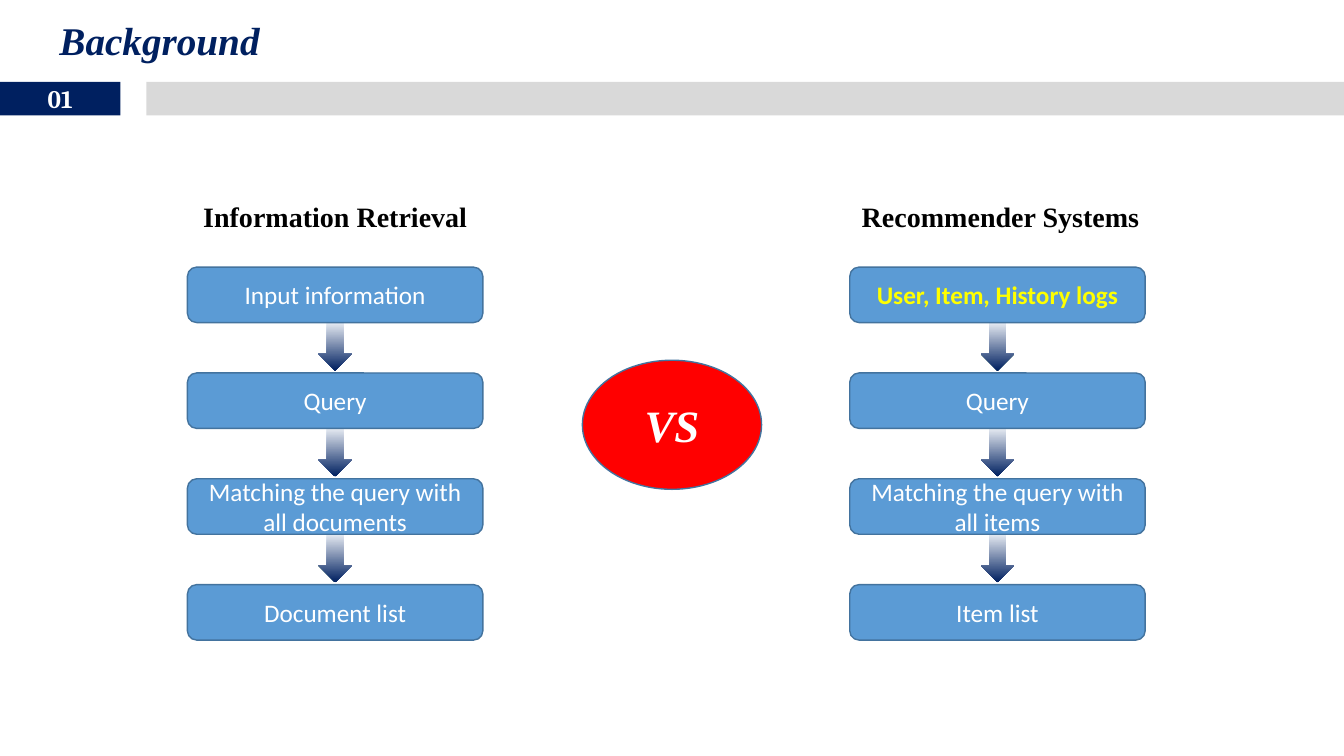
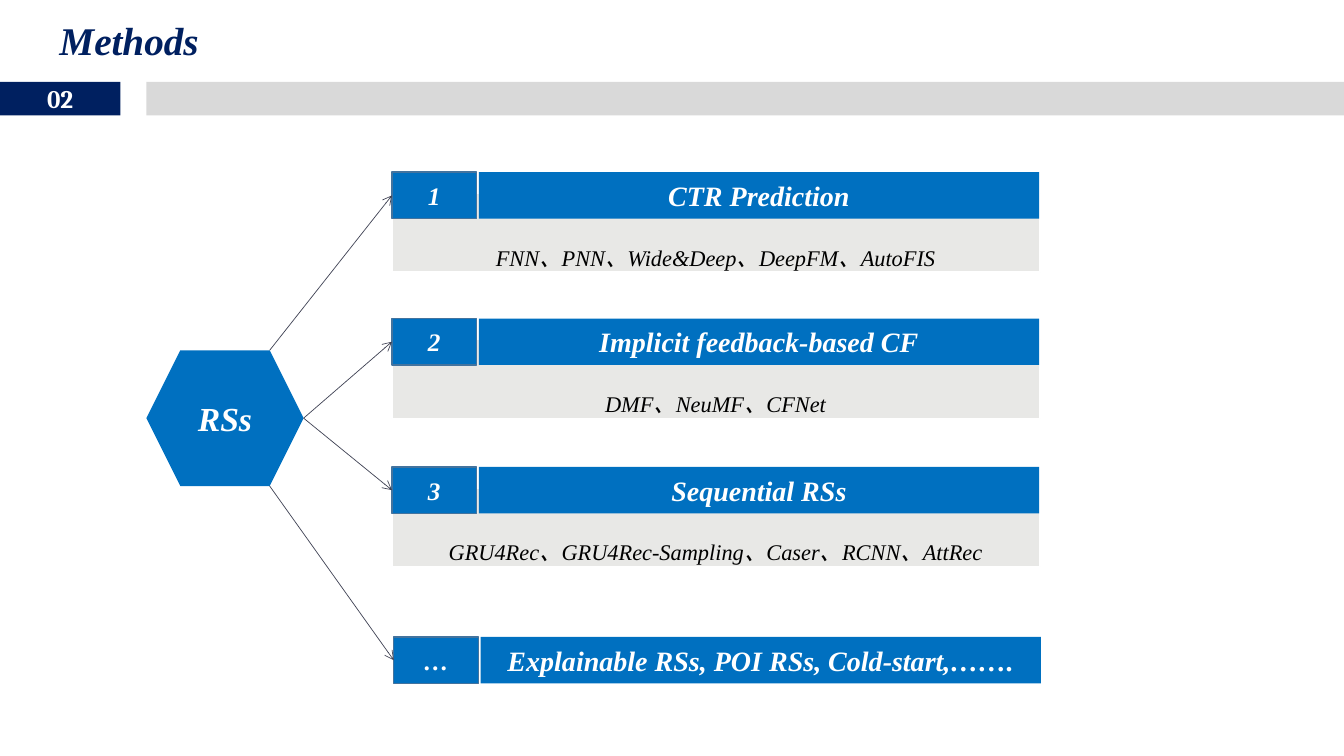
from lxml import etree
from pptx import Presentation
from pptx.dml import color
from pptx.enum import shapes, text
from pptx.oxml import ns
from pptx.util import Pt

NAVY, BLUE, SKY, STEEL = "002060", "0070C0", "5B9BD5", "43739E"
WHITE, BLACK, YELLOW, RED = "FFFFFF", "000000", "FFFF00", "FF0000"
BAND, STRIP, INK, PALE = "D9D9D9", "E8E8E6", "414455", "F7FAFD"
SERIF, SANS, NUMERALS = "Times New Roman", "Calibri", "Cambria"
SHAPE = shapes.MSO_SHAPE


def rgb(value):
    return color.RGBColor.from_string(value)


class Deck:
    def __init__(self):
        self.presentation = Presentation()
        self.presentation.slide_width = Pt(960)
        self.presentation.slide_height = Pt(540)
        self.slide = None

    def start(self, number, heading):
        layout = self.presentation.slide_layouts[5]
        self.slide = self.presentation.slides.add_slide(layout)
        title = self.slide.shapes.title
        title.left, title.top, title.width, title.height = map(Pt, (35.3, 7.9, 170, 41))
        self.letter(title, heading, 28, NAVY, bold=True, italic=True,
                    align=text.PP_ALIGN.LEFT, anchor=text.MSO_ANCHOR.TOP)
        tab = self.block(SHAPE.RECTANGLE, (0, 58.5, 86, 24), NAVY)
        self.letter(tab, number, 18, WHITE, NUMERALS, bold=True)
        self.block(SHAPE.RECTANGLE, (104.5, 58.5, 855.5, 24), BAND)

    def letter(self, shape, words, size, ink, face=SERIF, bold=False, italic=False,
               align=text.PP_ALIGN.CENTER, anchor=text.MSO_ANCHOR.MIDDLE, spacing=1.0):
        frame = shape.text_frame
        frame.text = words
        frame.word_wrap = True
        frame.auto_size = text.MSO_AUTO_SIZE.NONE
        frame.vertical_anchor = anchor
        paragraph = frame.paragraphs[0]
        paragraph.alignment = align
        paragraph.line_spacing = spacing
        font = paragraph.font
        font.name, font.size, font.bold, font.italic = face, Pt(size), bold, italic
        font.color.rgb = rgb(ink)

    def block(self, preset, box, fill, outline=None):
        shape = self.slide.shapes.add_shape(preset, *map(Pt, box))
        shape.shadow.inherit = False
        shape.fill.solid()
        shape.fill.fore_color.rgb = rgb(fill)
        if outline:
            shape.line.color.rgb = rgb(outline)
            shape.line.width = Pt(1)
        else:
            shape.line.fill.background()
        return shape

    def label(self, box, words, size, **style):
        caption = self.slide.shapes.add_textbox(*map(Pt, box))
        self.letter(caption, words, size, BLACK, anchor=text.MSO_ANCHOR.TOP,
                    spacing=1.5, **style)

    def down_arrow(self, box):
        fill = self.block(SHAPE.DOWN_ARROW, box, NAVY).fill
        fill.gradient()
        fill.gradient_angle = 270
        for stop, position, tint in zip(fill.gradient_stops, (0, 1), (PALE, NAVY)):
            stop.position = position
            stop.color.rgb = rgb(tint)

    def pointer(self, start, end):
        link = self.slide.shapes.add_connector(
            shapes.MSO_CONNECTOR.STRAIGHT, *map(Pt, start + end))
        link.line.color.rgb = rgb(INK)
        link.line.width = Pt(0.5)
        properties = link._element.spPr
        etree.SubElement(properties.find(ns.qn("a:ln")), ns.qn("a:tailEnd"), type="arrow")
        etree.SubElement(properties, ns.qn("a:effectLst"))

    def flow(self, left, heading_left, heading, steps):
        top, pitch, width, height = 190.8, 75.6, 211, 39.6
        self.label((heading_left, 126.7, 222.5, 39.6), heading, 20, bold=True)
        for index in range(len(steps) - 1):
            self.down_arrow((left + width / 2 - 11.9, top + index * pitch + 37.2, 23.8, 36.7))
        for index, (words, highlighted) in enumerate(steps):
            step = self.block(SHAPE.ROUNDED_RECTANGLE,
                              (left, top + index * pitch, width, height), SKY, STEEL)
            self.letter(step, words, 18, YELLOW if highlighted else WHITE, SANS,
                        bold=highlighted)

    def topic(self, left, top, number, heading, models):
        if models:
            self.block(SHAPE.RECTANGLE, (left, top + 15.1, 463, 56.2), STRIP, WHITE)
            self.label((left, top + 38, 462.2, 32.4), models, 16, italic=True)
        bar = self.block(SHAPE.RECTANGLE, (left + 62, top, 400.3, 33.2), BLUE)
        self.letter(bar, heading, 20, WHITE, bold=True, italic=True)
        badge = self.block(SHAPE.RECTANGLE, (left, top, 60.5, 33.2), BLUE, STEEL)
        self.letter(badge, number, 18, WHITE, bold=True, italic=True)


def background(deck):
    deck.start("01", "Background")
    deck.flow(133.9, 128.2, "Information Retrieval", [
        ("Input information", False),
        ("Query", False),
        ("Matching the query with all documents", False),
        ("Document list", False),
    ])
    versus = deck.block(SHAPE.OVAL, (416, 257.3, 128, 92.2), RED, STEEL)
    deck.letter(versus, "VS", 32, WHITE, bold=True, italic=True)
    deck.flow(607, 603.4, "Recommender Systems", [
        ("User, Item, History logs", True),
        ("Query", False),
        ("Matching the query with all items", False),
        ("Item list", False),
    ])


def methods(deck):
    deck.start("02", "Methods")
    left, top, width, height = 104.6, 250.2, 112.3, 97
    root = deck.block(SHAPE.HEXAGON, (left, top, width, height), BLUE)
    deck.letter(root, "RSs", 24, WHITE, bold=True, italic=True)
    right, middle, corner = left + width, top + height / 2, left + width - height / 4
    topics = [
        ((corner, top), 280, 123, "1", "CTR Prediction",
         "FNN、PNN、Wide&Deep、DeepFM、AutoFIS"),
        ((right, middle), 280, 227.5, "2", "Implicit feedback-based CF",
         "DMF、NeuMF、CFNet"),
        ((right, middle), 280, 333.5, "3", "Sequential RSs",
         "GRU4Rec、GRU4Rec-Sampling、Caser、RCNN、AttRec"),
        ((corner, top + height), 281.3, 455, "…",
         "Explainable RSs, POI RSs, Cold-start,…….", None),
    ]
    for origin, topic_left, topic_top, number, heading, models in topics:
        deck.topic(topic_left, topic_top, number, heading, models)
        deck.pointer(origin, (topic_left, topic_top + 16.6))


def main():
    deck = Deck()
    background(deck)
    methods(deck)
    deck.presentation.save("out.pptx")


if __name__ == "__main__":
    main()
